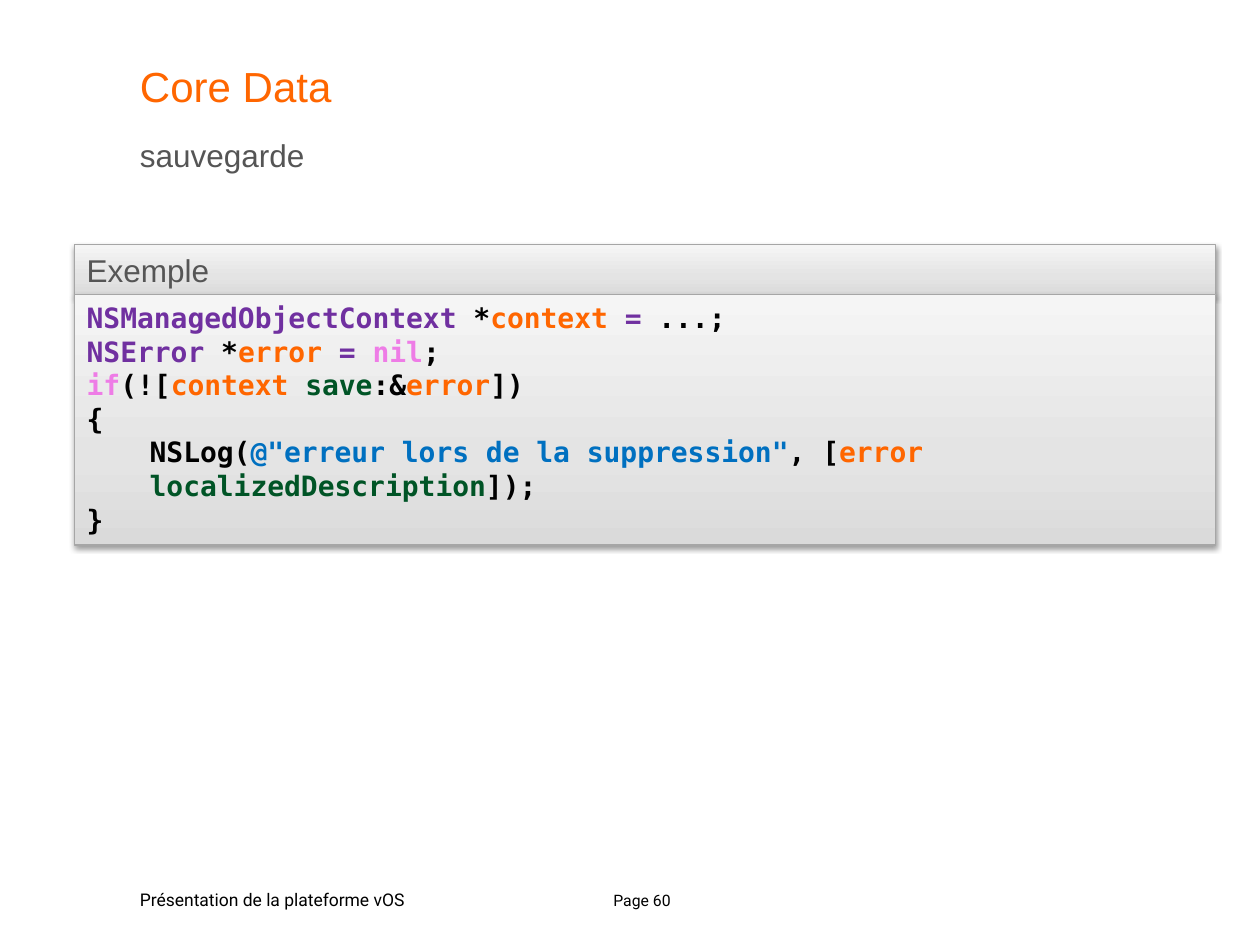
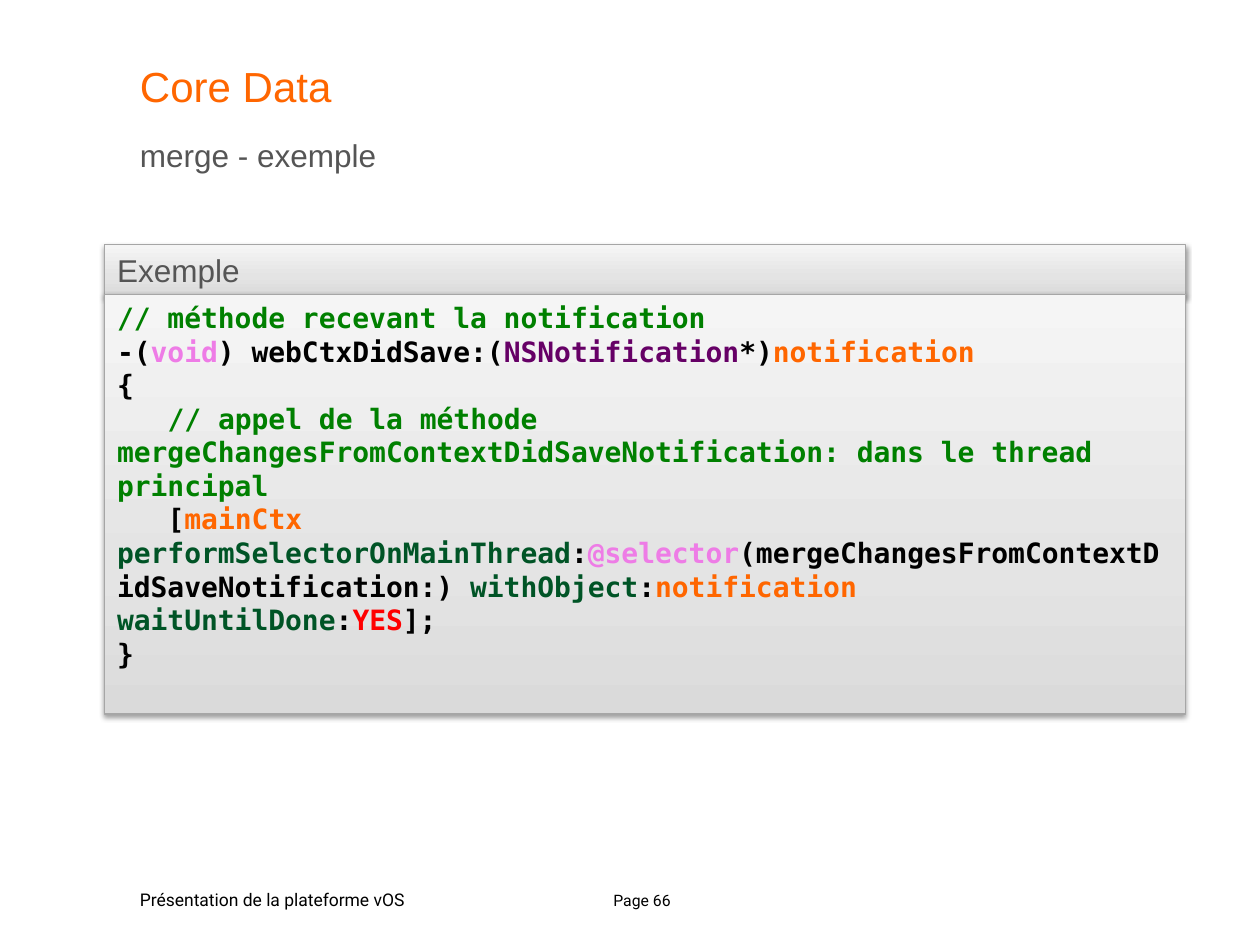
from copy import deepcopy
from dataclasses import dataclass

from lxml.etree import SubElement
from pptx import Presentation
from pptx.dml.color import RGBColor as RGB
from pptx.enum.shapes import MSO_SHAPE as SHAPE
from pptx.enum.text import MSO_ANCHOR as ANCHOR, MSO_AUTO_SIZE as FIT, PP_ALIGN as ALIGN
from pptx.oxml.ns import qn
from pptx.util import Pt


@dataclass(frozen=True)
class Theme:
    sans: str = "Arial"
    mono: str = "DejaVu Sans Mono"
    small: str = "Roboto"
    title_size: int = 24
    heading_size: int = 18
    code_size: int = 16
    footer_size: int = 10
    page_size: int = 9
    orange: str = "FF6600"
    grey: str = "555555"
    black: str = "000000"
    border: str = "A6A6A6"
    gradient: tuple = ((0, "DADADA"), (0.35, "E4E4E4"), (1, "F5F5F5"))
    # syntax colours
    type_name: str = "7030A0"
    class_name: str = "660066"
    keyword: str = "EE7CE6"
    method: str = "005426"
    string: str = "0070C0"
    comment: str = "008000"
    constant: str = "FF0000"


THEME = Theme()
LEFT, WIDTH = 80, 615
PANEL_TOP, HEADER_HEIGHT = 139.7, 28.5
FOOTER = "Présentation de la plateforme vOS"


@dataclass(frozen=True)
class Line:
    """One code paragraph: (text, colour) runs, left margin and first-line indent."""
    runs: tuple
    margin: float = 0
    indent: float = 0


def line(*runs, margin=0, indent=0):
    """Make a Line; a bare string is a black run."""
    pairs = tuple((r, THEME.black) if isinstance(r, str) else r for r in runs)
    return Line(pairs, margin, indent)


class Deck:
    def __init__(self, theme):
        self.theme = theme
        self.prs = Presentation()
        self.prs.slide_width, self.prs.slide_height = Pt(720), Pt(540)
        self.s = None

    def new_slide(self, title, subtitle, page):
        t = self.theme
        self.s = self.prs.slides.add_slide(self.prs.slide_layouts[5])
        sp = self.s.shapes.title
        sp.left, sp.top, sp.width, sp.height = Pt(LEFT), Pt(32), Pt(WIDTH), Pt(39)
        self.label(sp, title, t.sans, t.title_size, t.orange, insets=(0, 2.5))
        self.text((LEFT, 76.3, WIDTH, 24), subtitle, t.sans, t.heading_size, t.grey,
                  insets=(0, 0), anchor=ANCHOR.MIDDLE)
        self.text((LEFT, 504.7, 196, 17.5), FOOTER, t.small, t.footer_size, t.black,
                  insets=(0, 3.6), wrap=False)
        self.text((337.7, 505.4, 58.3, 17.3), f"Page {page}", t.small, t.page_size,
                  t.black, align=ALIGN.CENTER)

    def text(self, box, text, font, size, color, **style):
        sp = self.s.shapes.add_textbox(*map(Pt, box))
        self.label(sp, text, font, size, color, **style)

    def label(self, sp, text, font, size, color, insets=(7.2, 3.6),
              anchor=ANCHOR.TOP, align=ALIGN.LEFT, wrap=True):
        """Fill a shape with one formatted paragraph."""
        tf = self.frame(sp, insets, anchor, wrap)
        p = tf.paragraphs[0]
        p.text, p.alignment = text, align
        self.style(p.font, font, size)
        p.font.color.rgb = RGB.from_string(color)

    def frame(self, sp, insets=(7.2, 3.6), anchor=ANCHOR.TOP, wrap=True):
        tf = sp.text_frame
        tf.auto_size, tf.word_wrap, tf.vertical_anchor = FIT.NONE, wrap, anchor
        tf.margin_left = tf.margin_right = Pt(insets[0])
        tf.margin_top = tf.margin_bottom = Pt(insets[1])
        return tf

    def style(self, f, font, size, bold=False):
        f.name, f.size, f.bold = font, Pt(size), bold

    def code_panel(self, left, width, height, lines):
        """Group a heading bar with the code box below it."""
        t = self.theme
        group = self.s.shapes.add_group_shape()
        header = self.panel(group, left, PANEL_TOP, width, HEADER_HEIGHT)
        self.label(header, "Exemple", t.sans, t.heading_size, t.grey)
        body = self.panel(group, left, PANEL_TOP + HEADER_HEIGHT, width, height)
        self.code(self.frame(body), lines)

    def panel(self, group, *box):
        t = self.theme
        sp = group.shapes.add_shape(SHAPE.RECTANGLE, *map(Pt, box))
        sp.line.color.rgb, sp.line.width = RGB.from_string(t.border), Pt(0.75)
        sp.fill.gradient()
        sp.fill.gradient_angle = 90
        stops = sp._element.spPr.find(".//" + qn("a:gsLst"))
        stops.insert(1, deepcopy(stops[0]))
        for stop, (position, color) in zip(sp.fill.gradient_stops, t.gradient):
            stop.position, stop.color.rgb = position, RGB.from_string(color)
        self.drop_shadow(sp)
        return sp

    def drop_shadow(self, sp):
        sp.shadow.inherit = False
        effects = sp._element.spPr.find(qn("a:effectLst"))
        shadow = SubElement(effects, qn("a:outerShdw"), blurRad=str(Pt(3.1)),
                            dist=str(Pt(1.6)), dir="5400000", rotWithShape="0")
        color = SubElement(shadow, qn("a:srgbClr"), val=self.theme.black)
        SubElement(color, qn("a:alpha"), val="38000")

    def code(self, tf, lines):
        for i, ln in enumerate(lines):
            p = tf.add_paragraph() if i else tf.paragraphs[0]
            p.alignment = ALIGN.LEFT
            self.style(p.font, self.theme.mono, self.theme.code_size, bold=True)
            pPr = p._p.get_or_add_pPr()
            pPr.set("marL", str(Pt(ln.margin)))
            pPr.set("indent", str(Pt(ln.indent)))
            for text, color in ln.runs:
                r = p.add_run()
                r.text = text
                r.font.color.rgb = RGB.from_string(color)


def save_slide(deck):
    """Build the slide about saving a context."""
    t = deck.theme
    deck.new_slide("Core Data", "sauvegarde", 60)
    deck.code_panel(42.5, 652.3, 143.3, [
        line(("NSManagedObjectContext ", t.type_name), "*", ("context ", t.orange),
             ("= ", t.type_name), "...;"),
        line(("NSError ", t.type_name), "*", ("error ", t.orange), ("= ", t.type_name),
             ("nil", t.keyword), ";"),
        line(("if", t.keyword), "(![", ("context", t.orange), (" save", t.method),
             ":&", ("error", t.orange), "])"),
        line("{"),
        line("NSLog(", ('@"erreur lors de la suppression"', t.string), ", [",
             ("error ", t.orange), ("localizedDescription", t.method), "]);", margin=36),
        line("}"),
    ])


def merge_slide(deck):
    t = deck.theme
    three_chars = 28.9
    deck.new_slide("Core Data", "merge - exemple", 66)
    deck.code_panel(59.8, 617.8, 239.8, [
        line(("// méthode recevant la notification", t.comment)),
        line("-(", ("void", t.keyword), ") webCtxDidSave:(",
             ("NSNotification", t.class_name), "*)", ("notification", t.orange)),
        line("{"),
        line(("// appel de la méthode mergeChangesFromContextDidSaveNotification: "
              "dans le thread principal", t.comment), indent=three_chars),
        line("[", ("mainCtx ", t.orange), ("performSelectorOnMainThread", t.method), ":",
             ("@selector", t.keyword), "(mergeChangesFromContextDidSaveNotification:) ",
             ("withObject", t.method), ":", ("notification ", t.orange),
             ("waitUntilDone", t.method), ":", ("YES", t.constant), "];",
             indent=three_chars),
        line("}"),
    ])


def main():
    deck = Deck(THEME)
    save_slide(deck)
    merge_slide(deck)
    deck.prs.save("out.pptx")


if __name__ == "__main__":
    main()
